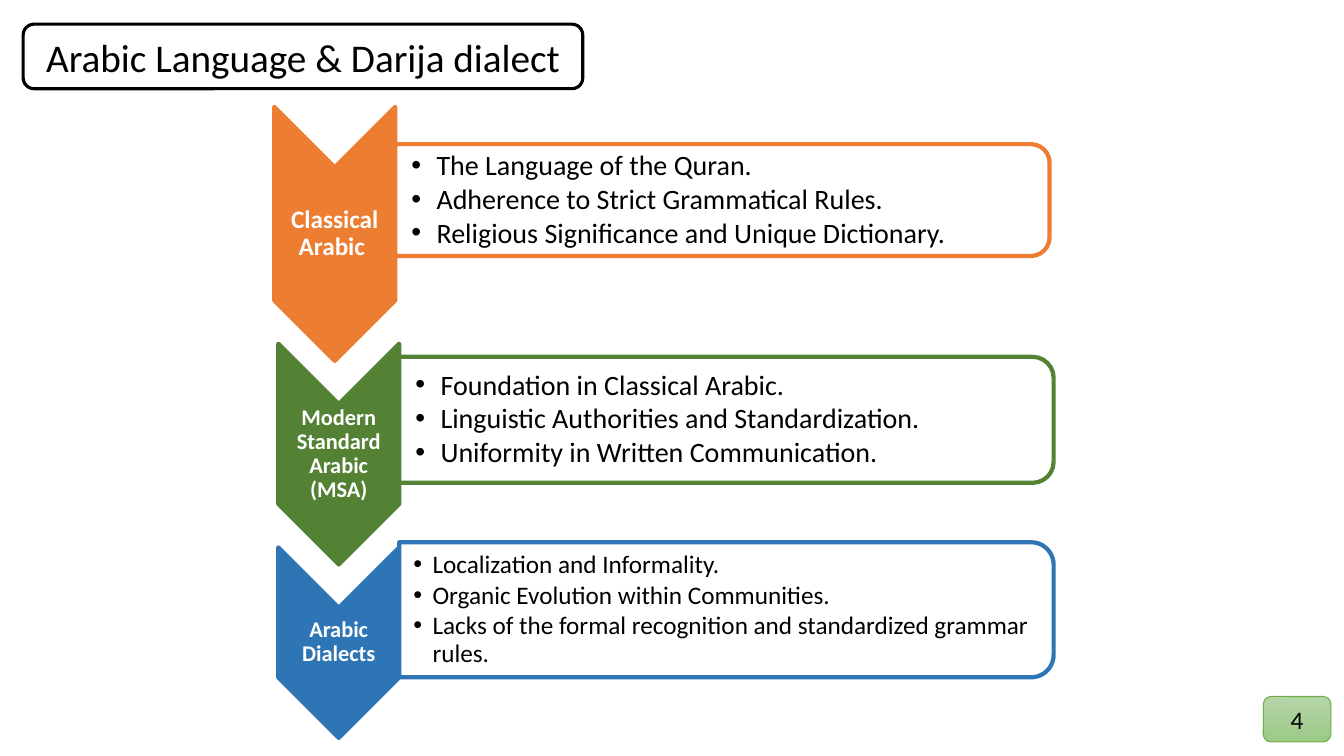
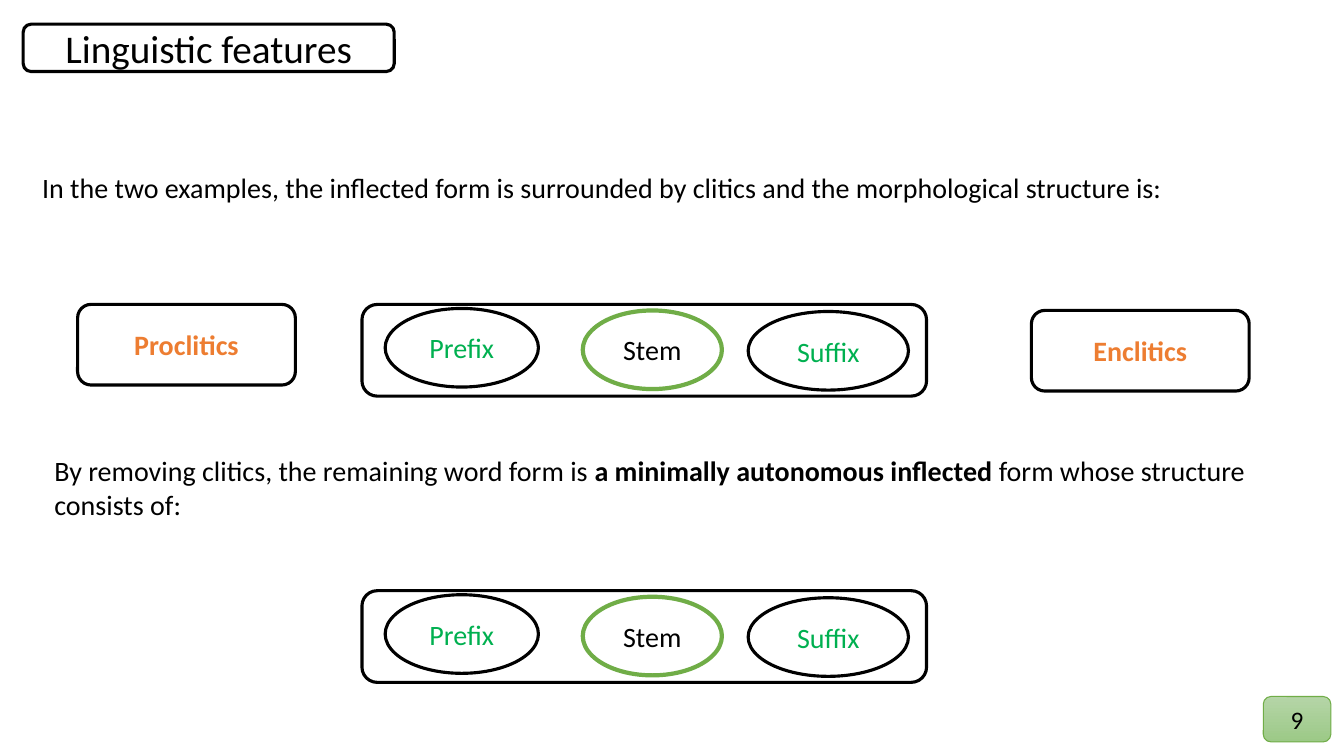
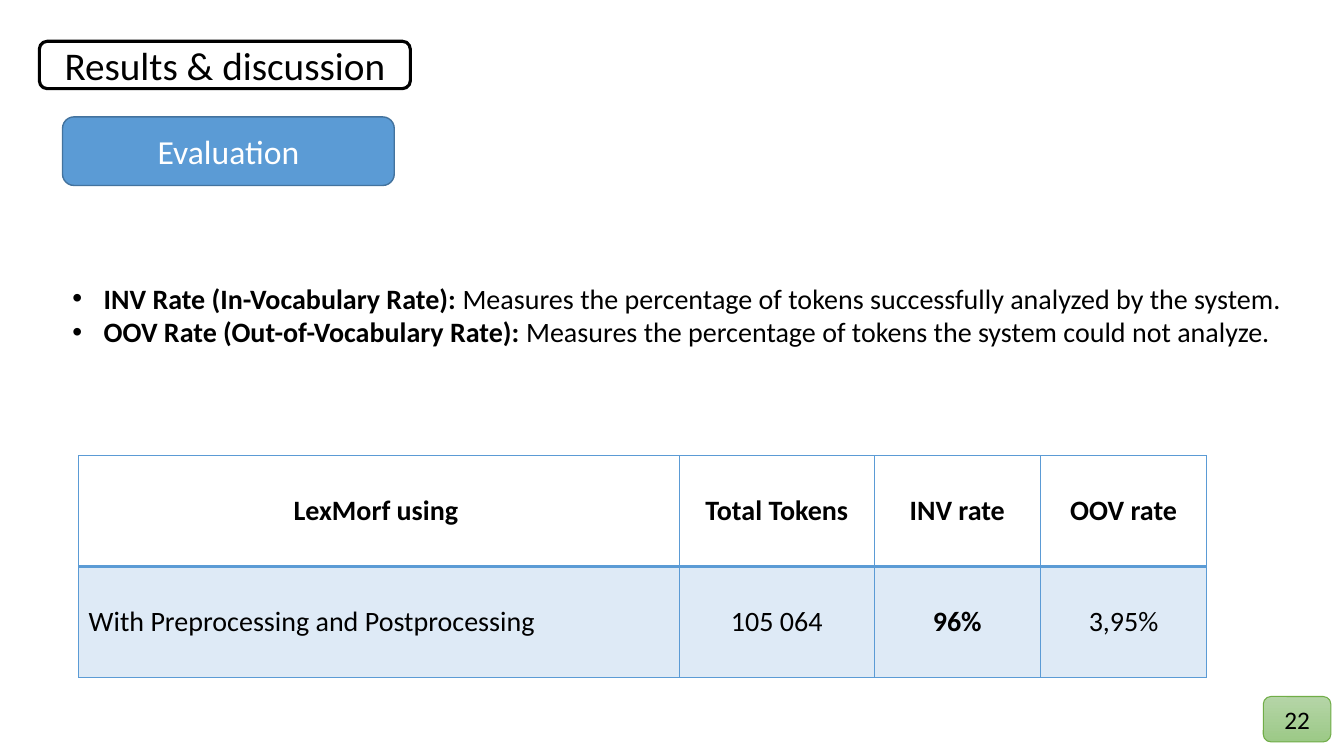
"""Build three slides on Arabic varieties, clitics and evaluation results."""
from lxml.etree import SubElement
from pptx import Presentation
from pptx.dml.color import RGBColor
from pptx.enum.shapes import MSO_SHAPE
from pptx.enum.text import MSO_ANCHOR, PP_ALIGN
from pptx.oxml.ns import qn
from pptx.util import Inches, Pt

COLORS = {
    "black": "000000", "white": "FFFFFF", "orange": "ED7D31", "forest": "548235",
    "navy": "2E75B6", "green": "70AD47", "affix": "00B050", "blue": "5B9BD5",
    "blue_edge": "43739E", "pale_blue": "DEEAF6", "badge_top": "B5D5A7", "badge_end": "9CC987",
}
FONT = "Calibri"
SLIDE_SIZE = (13.33, 7.5)
BADGE_BOX = (12.53, 6.91, 0.67, 0.45)
FRAME_LINE = 2.25

ARROW_WIDTH = 1.2
PANEL_WIDTH = 6.49
VARIETIES = [
    {"name": "Classical Arabic ", "color": "orange", "left": 2.72, "arrow": (1.06, 2.52),
     "panel": (1.43, 1.11), "name_size": 18, "size": 20, "indent": 0.25, "inset": 0.16,
     "traits": ["The Language of the Quran.", "Adherence to Strict Grammatical Rules.",
                "Religious Significance and Unique Dictionary."]},
    {"name": "Modern Standard Arabic (MSA)", "color": "forest", "left": 2.76, "arrow": (3.41, 2.19),
     "panel": (3.54, 1.25), "name_size": 16, "size": 20, "indent": 0.25, "inset": 0.16,
     "traits": ["Foundation in Classical Arabic.", "Linguistic Authorities and Standardization.",
                "Uniformity in Written Communication."]},
    {"name": "Arabic Dialects", "color": "navy", "left": 2.76, "arrow": (5.43, 1.89),
     "panel": (5.38, 1.34), "name_size": 16, "size": 18, "indent": 0.19, "inset": 0.14,
     "traits": ["Localization and Informality.", "Organic Evolution within Communities.",
                "Lacks of the formal recognition and standardized grammar rules."]},
]

STATEMENTS = [
    ((0.32, 1.64, 12.24, 0.44),
     "In the two examples, the inflected form is surrounded by clitics and the "
     "morphological structure is:"),
    ((0.44, 4.45, 12.45, 0.77),
     [("By removing clitics, the remaining word form is ", False),
      ("a minimally autonomous inflected ", True),
      ("form whose structure consists of:", False)]),
]
CLITICS = [("Proclitics", 0.77, 3.02), ("Enclitics", 10.23, 3.08)]
CLITIC_SIZE = (2.16, 0.8)
WORD_LEFT, WORD_WIDTH, WORD_HEIGHT = 3.59, 5.6, 0.91
WORD_TOPS = (3.02, 5.86)
MORPHEME_HEIGHT = 0.78
MORPHEMES = [
    ("Suffix", 7.42, 0.07, 1.59, "affix", "black", FRAME_LINE),
    ("Stem", 5.78, 0.06, 1.38, "black", "green", 3),
    ("Prefix", 3.82, 0.04, 1.52, "affix", "black", FRAME_LINE),
]

RATES = [
    [("INV Rate (In-Vocabulary Rate): ", True),
     ("Measures the percentage of tokens successfully analyzed by the system.", False)],
    [("OOV Rate (Out-of-Vocabulary Rate): ", True),
     ("Measures the percentage of tokens the system could not analyze.", False)],
]
RESULTS = [
    ["LexMorf using ", "Total Tokens", "INV rate", "OOV rate"],
    ["With Preprocessing and Postprocessing", "105 064", "96%", "3,95%"],
]
BOLD_RESULTS = RESULTS[0] + ["96%"]
COLUMN_WIDTHS = (5.96, 1.93, 1.65, 1.65)
ROW_HEIGHT = 1.1


def rgb(name):
    """Return the named palette colour."""
    return RGBColor.from_string(COLORS[name])


def write(frame, paragraphs, size=20, color="black", bold=False, align=PP_ALIGN.LEFT,
          anchor=MSO_ANCHOR.MIDDLE, insets=(0.1, 0.05, 0.1, 0.05), indent=0,
          spacing=None, after=0):
    """Fill a text frame; each paragraph is a string or a list of (text, bold) runs."""
    frame.word_wrap = True
    frame.vertical_anchor = anchor
    frame.margin_left, frame.margin_top, frame.margin_right, frame.margin_bottom = map(Inches, insets)
    for index, content in enumerate(paragraphs):
        paragraph = frame.add_paragraph() if index else frame.paragraphs[0]
        paragraph.alignment = align
        paragraph.line_spacing = spacing
        paragraph.space_after = Pt(after)
        if indent:
            properties = paragraph._p.get_or_add_pPr()
            properties.set("marL", str(Inches(indent)))
            properties.set("indent", str(-Inches(indent)))
            SubElement(properties, qn("a:buFont"), typeface="Arial")
            SubElement(properties, qn("a:buChar"), char="•")
        for text, strong in [(content, bold)] if isinstance(content, str) else content:
            run = paragraph.add_run()
            run.text = text
            run.font.name, run.font.size, run.font.bold = FONT, Pt(size), strong
            run.font.color.rgb = rgb(color)


def add_text(slide, box, paragraphs, **style):
    """Add a text box."""
    write(slide.shapes.add_textbox(*map(Inches, box)).text_frame, paragraphs, **style)


def add_figure(slide, kind, box, text=None, fill="white", line="black", width=FRAME_LINE, **style):
    """Add a filled, outlined shape with optional centred text."""
    figure = slide.shapes.add_shape(kind, *map(Inches, box))
    figure.shadow.inherit = False
    figure.fill.solid()
    figure.fill.fore_color.rgb = rgb(fill)
    figure.line.color.rgb = rgb(line)
    figure.line.width = Pt(width)
    if text:
        write(figure.text_frame, [text], align=PP_ALIGN.CENTER, **style)
    return figure


def add_turned(slide, kind, box, **style):
    """Add a shape turned clockwise by 90 degrees so that it covers the given box."""
    left, top, width, height = box
    shift = (width - height) / 2
    add_figure(slide, kind, (left + shift, top - shift, height, width), width=3, **style).rotation = 90


def start_slide(deck, title, title_box, number):
    """Add a slide with its framed title and number badge."""
    slide = deck.slides.add_slide(deck.slide_layouts[6])
    add_figure(slide, MSO_SHAPE.ROUNDED_RECTANGLE, title_box, title, size=28)
    badge = add_figure(slide, MSO_SHAPE.ROUNDED_RECTANGLE, BADGE_BOX, number,
                       line="green", width=0.75, size=18)
    badge.fill.gradient()
    badge.fill.gradient_angle = 270
    for stop, name in zip(badge.fill.gradient_stops, ("badge_top", "badge_end")):
        stop.color.rgb = rgb(name)
    return slide


def add_variety(slide, variety):
    """Add one downward arrow with its panel of traits."""
    left, color = variety["left"], variety["color"]
    top, height = variety["arrow"]
    tip = ARROW_WIDTH / 2
    add_turned(slide, MSO_SHAPE.CHEVRON, (left, top, ARROW_WIDTH, height), fill=color, line=color)
    add_text(slide, (left, top + tip, ARROW_WIDTH, height - 2 * tip), [variety["name"]],
             size=variety["name_size"], color="white", bold=True, align=PP_ALIGN.CENTER,
             insets=(0.01,) * 4, spacing=0.9)
    left += ARROW_WIDTH
    top, height = variety["panel"]
    add_turned(slide, MSO_SHAPE.ROUND_2_SAME_RECTANGLE, (left, top, PANEL_WIDTH, height), line=color)
    add_text(slide, (left, top + 0.05, PANEL_WIDTH - 0.06, height - 0.1), variety["traits"],
             size=variety["size"], indent=variety["indent"], spacing=0.9,
             after=round(0.13 * variety["size"], 1), insets=(variety["inset"], 0.01, 0.01, 0.01))


def add_word(slide, top):
    """Add the frame of an inflected word and its morphemes."""
    add_figure(slide, MSO_SHAPE.ROUNDED_RECTANGLE, (WORD_LEFT, top, WORD_WIDTH, WORD_HEIGHT))
    for name, left, drop, width, color, line, weight in MORPHEMES:
        add_figure(slide, MSO_SHAPE.OVAL, (left, top + drop, width, MORPHEME_HEIGHT), name,
                   line=line, width=weight, color=color)


def border(cell, side, width):
    """Draw one side of a table cell."""
    edge = SubElement(cell._tc.get_or_add_tcPr(), qn(f"a:ln{side}"), w=str(Pt(width)))
    SubElement(SubElement(edge, qn("a:solidFill")), qn("a:srgbClr"), val=COLORS["blue"])


def add_results(slide):
    """Add the table of rates."""
    table = slide.shapes.add_table(
        len(RESULTS), len(COLUMN_WIDTHS), Inches(0.78), Inches(4.52),
        Inches(sum(COLUMN_WIDTHS)), Inches(ROW_HEIGHT * len(RESULTS))).table
    table.horz_banding = False
    for column, width in zip(table.columns, COLUMN_WIDTHS):
        column.width = Inches(width)
    for r, texts in enumerate(RESULTS):
        table.rows[r].height = Inches(ROW_HEIGHT)
        for c, text in enumerate(texts):
            cell = table.cell(r, c)
            for side in "LRTB":
                border(cell, side, 2 if side == ("T" if r else "B") else 1)
            cell.fill.solid()
            cell.fill.fore_color.rgb = rgb("pale_blue" if r else "white")
            write(cell.text_frame, [text], bold=text in BOLD_RESULTS,
                  align=PP_ALIGN.LEFT if r and not c else PP_ALIGN.CENTER)
            cell.vertical_anchor = MSO_ANCHOR.MIDDLE


def main():
    """Build and save the deck."""
    deck = Presentation()
    deck.slide_width, deck.slide_height = map(Inches, SLIDE_SIZE)

    slide = start_slide(deck, "Arabic Language & Darija dialect", (0.23, 0.24, 5.55, 0.64), "4")
    for variety in VARIETIES:
        add_variety(slide, variety)

    slide = start_slide(deck, "Linguistic features", (0.23, 0.24, 3.68, 0.47), "9")
    for box, statement in STATEMENTS:
        add_text(slide, box, [statement], anchor=MSO_ANCHOR.TOP)
    for name, left, top in CLITICS:
        add_figure(slide, MSO_SHAPE.ROUNDED_RECTANGLE, (left, top, *CLITIC_SIZE), name,
                   color="orange", bold=True)
    for top in WORD_TOPS:
        add_word(slide, top)

    slide = start_slide(deck, "Results & discussion", (0.39, 0.41, 3.68, 0.47), "22")
    add_figure(slide, MSO_SHAPE.ROUNDED_RECTANGLE, (0.62, 1.16, 3.29, 0.68), "Evaluation",
               fill="blue", line="blue_edge", width=1, size=24, color="white")
    add_text(slide, (0.62, 2.74, 12.32, 0.77), RATES, indent=0.31, anchor=MSO_ANCHOR.TOP)
    add_results(slide)

    deck.save("out.pptx")


if __name__ == "__main__":
    main()
